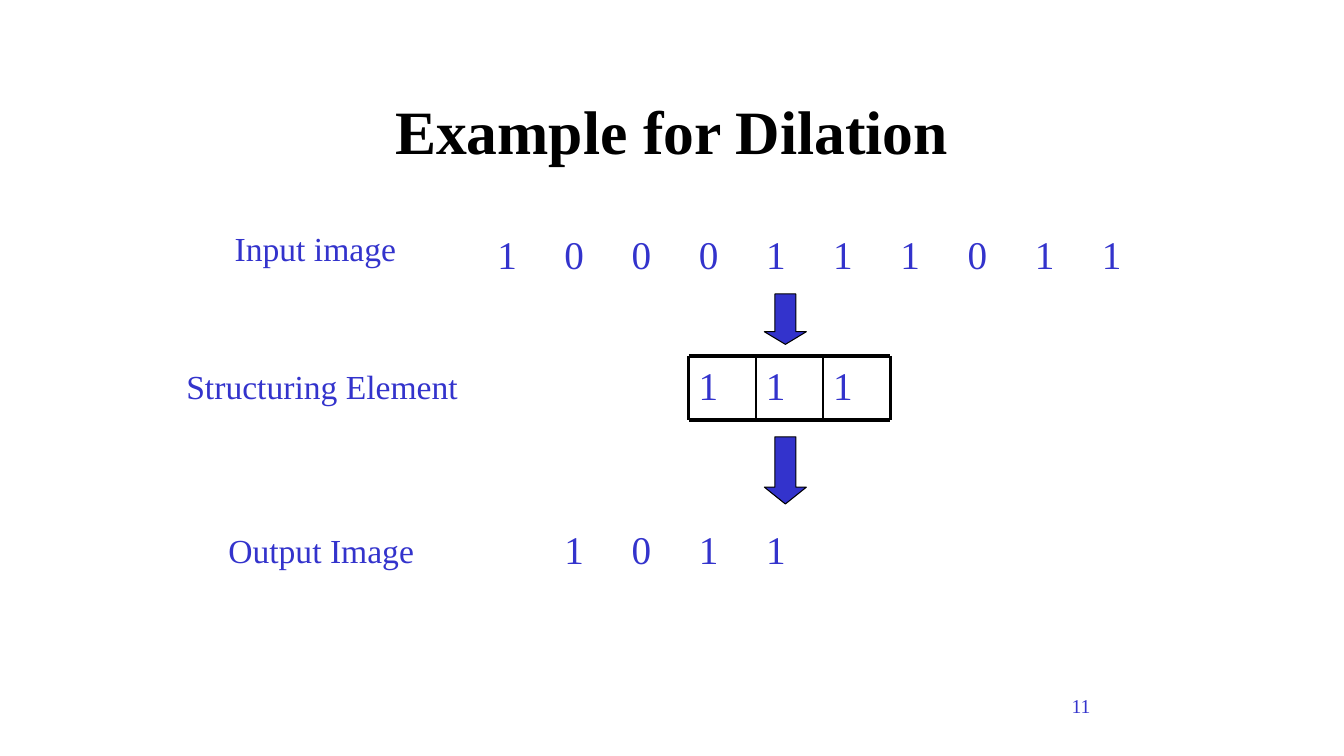
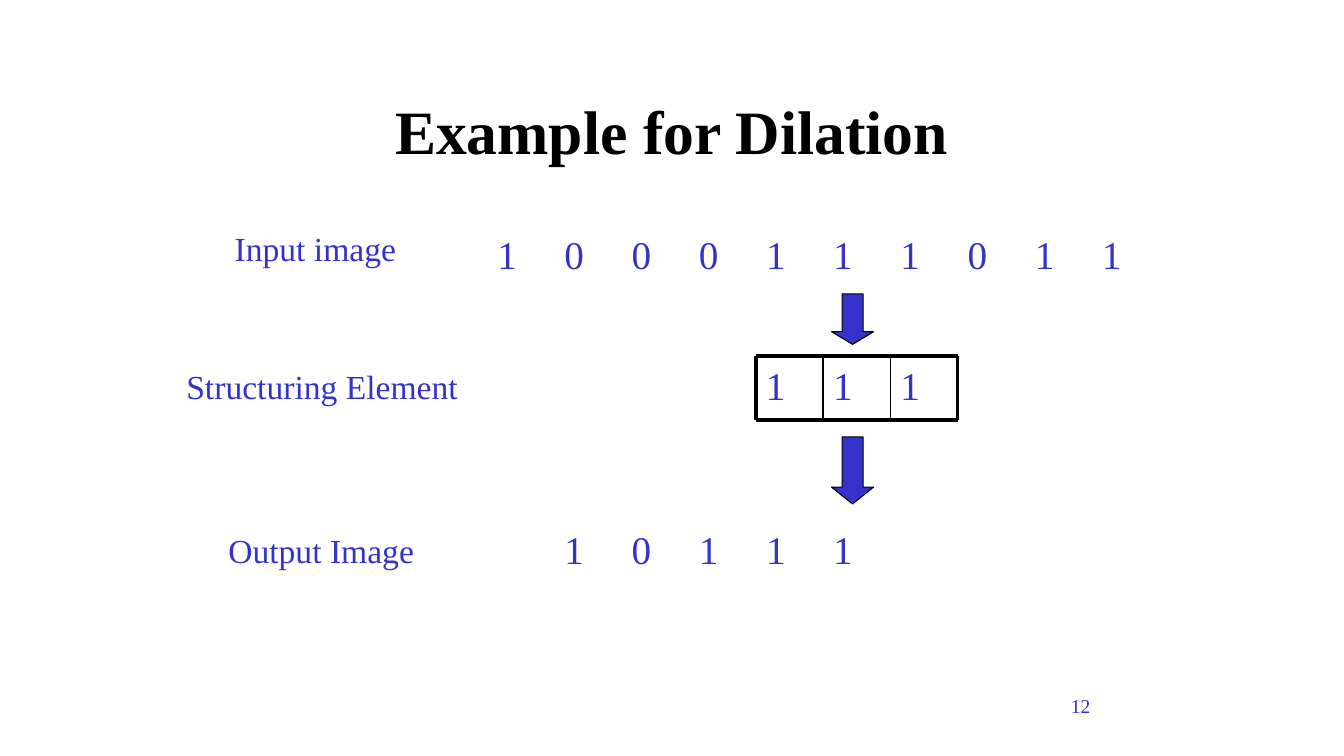
from pptx import Presentation
from pptx.dml.color import RGBColor
from pptx.enum.shapes import MSO_CONNECTOR, MSO_SHAPE
from pptx.enum.text import MSO_ANCHOR, MSO_AUTO_SIZE, PP_ALIGN
from pptx.oxml.ns import qn
from pptx.util import Pt
from lxml import etree

STRAIGHT = MSO_CONNECTOR.STRAIGHT
DOWN_ARROW = MSO_SHAPE.DOWN_ARROW
MIDDLE = MSO_ANCHOR.MIDDLE
FIT_SHAPE = MSO_AUTO_SIZE.SHAPE_TO_FIT_TEXT
LEFT, CENTER, RIGHT = PP_ALIGN.LEFT, PP_ALIGN.CENTER, PP_ALIGN.RIGHT

FONT = "Times New Roman"
BLUE, BLACK = "3333CC", "000000"
TITLE = "Example for Dilation"
INPUT_BITS = "1000111011"
OUTPUT_BITS = "10111"
ELEMENT_BITS = "111"
LABELS = [
    ("Input image", 214, 212, 173),
    ("Structuring Element", 168, 344, 278),
    ("Output Image", 208, 500, 196),
]
GRID_LEFT, CELL_WIDTH, ROW_HEIGHT = 464, 64, 56
INPUT_TOP, OUTPUT_TOP = 216, 497
ELEMENT_TOP, ELEMENT_HEIGHT = 339, 61
ARROW_WIDTH, ARROW_OFFSET = 40, 72
ARROWS = [(280, 48, 0.3), (416, 64, 0.4)]


def px(length):
    """Turn px, 96 to the inch, into EMU."""
    return length * 9525


def color(value):
    """Return the colour for a hex string."""
    return RGBColor.from_string(value)


def write(para, text, size, ink=BLUE, bold=False):
    """Add one formatted run to a paragraph."""
    span = para.add_run()
    span.text = text
    span.font.name = FONT
    span.font.size = Pt(size)
    span.font.bold = bold
    span.font.color.rgb = color(ink)


def add_text(shapes, area, text, size, align=LEFT, ink=BLUE, bold=False):
    """Add a wrapping text box and return it."""
    box = shapes.add_textbox(*map(px, area))
    box.text_frame.word_wrap = True
    para = box.text_frame.paragraphs[0]
    para.alignment = align
    write(para, text, size, ink, bold)
    return box


def add_label(page, text, left, top, width):
    """Add a row label that grows with its text."""
    box = add_text(page.shapes, (left, top, width, 48), text, 24)
    box.text_frame.word_wrap = False
    box.text_frame.auto_size = FIT_SHAPE


def add_bit_row(page, top, bits):
    """Add a one-row table of bits, with a blank for an empty cell."""
    count = len(bits)
    frame = page.shapes.add_table(
        1, count, px(GRID_LEFT), px(top), px(count * CELL_WIDTH), px(ROW_HEIGHT))
    table = frame.table
    table.first_row = table.horz_banding = False
    for cell, bit in zip(table.rows[0].cells, bits):
        cell.fill.background()
        cell.margin_top = px(12)
        para = cell.text_frame.paragraphs[0]
        para.line_spacing = 0.86
        para.space_before = Pt(7)
        if bit.strip():
            write(para, bit, 28)


def add_line(shapes, start, end, weight):
    """Add a straight black line without a shadow."""
    line = shapes.add_connector(STRAIGHT, *map(px, start + end))
    line.line.color.rgb = color(BLACK)
    line.line.width = Pt(weight)
    etree.SubElement(line._element.spPr, qn("a:effectLst"))


def add_element(page, left):
    """Add the structuring element as a ruled group of cells."""
    shapes = page.shapes.add_group_shape().shapes
    count = len(ELEMENT_BITS)
    right, bottom = left + count * CELL_WIDTH, ELEMENT_TOP + ELEMENT_HEIGHT
    for index, bit in enumerate(ELEMENT_BITS):
        area = (left + index * CELL_WIDTH, ELEMENT_TOP, CELL_WIDTH, ELEMENT_HEIGHT)
        box = add_text(shapes, area, bit, 28)
        box.text_frame.paragraphs[0].space_before = Pt(7)
    for y in (ELEMENT_TOP, bottom):
        add_line(shapes, (left, y), (right, y), 2.25)
    for index in range(count + 1):
        x = left + index * CELL_WIDTH
        weight = 2.25 if index in (0, count) else 1
        add_line(shapes, (x, ELEMENT_TOP), (x, bottom), weight)


def add_arrow(page, left, top, height, head):
    """Add a downward block arrow."""
    arrow = page.shapes.add_shape(
        DOWN_ARROW, px(left), px(top), px(ARROW_WIDTH), px(height))
    arrow.adjustments[0] = 0.5
    arrow.adjustments[1] = head
    arrow.shadow.inherit = False
    arrow.fill.solid()
    arrow.fill.fore_color.rgb = color(BLUE)
    arrow.line.color.rgb = color(BLACK)
    arrow.line.width = Pt(0.75)


def add_step(deck, number, position):
    """Add the slide with the element centred on one input position."""
    page = deck.slides.add_slide(deck.slide_layouts[6])
    title = add_text(page.shapes, (232, 64, 816, 120), TITLE, 44, CENTER, BLACK, True)
    title.text_frame.vertical_anchor = MIDDLE
    add_text(page.shapes, (848, 656, 200, 48), str(number), 14, RIGHT)
    for label in LABELS:
        add_label(page, *label)
    add_bit_row(page, INPUT_TOP, INPUT_BITS)
    output = " " + OUTPUT_BITS[:position]
    add_bit_row(page, OUTPUT_TOP, output.ljust(len(INPUT_BITS)))
    element_left = GRID_LEFT + (position - 1) * CELL_WIDTH
    add_element(page, element_left)
    for arrow in ARROWS:
        add_arrow(page, element_left + ARROW_OFFSET, *arrow)


def main():
    """Build and save the deck."""
    deck = Presentation()
    deck.slide_width, deck.slide_height = px(1280), px(720)
    for number, position in ((11, 4), (12, 5)):
        add_step(deck, number, position)
    deck.save("out.pptx")


if __name__ == "__main__":
    main()
